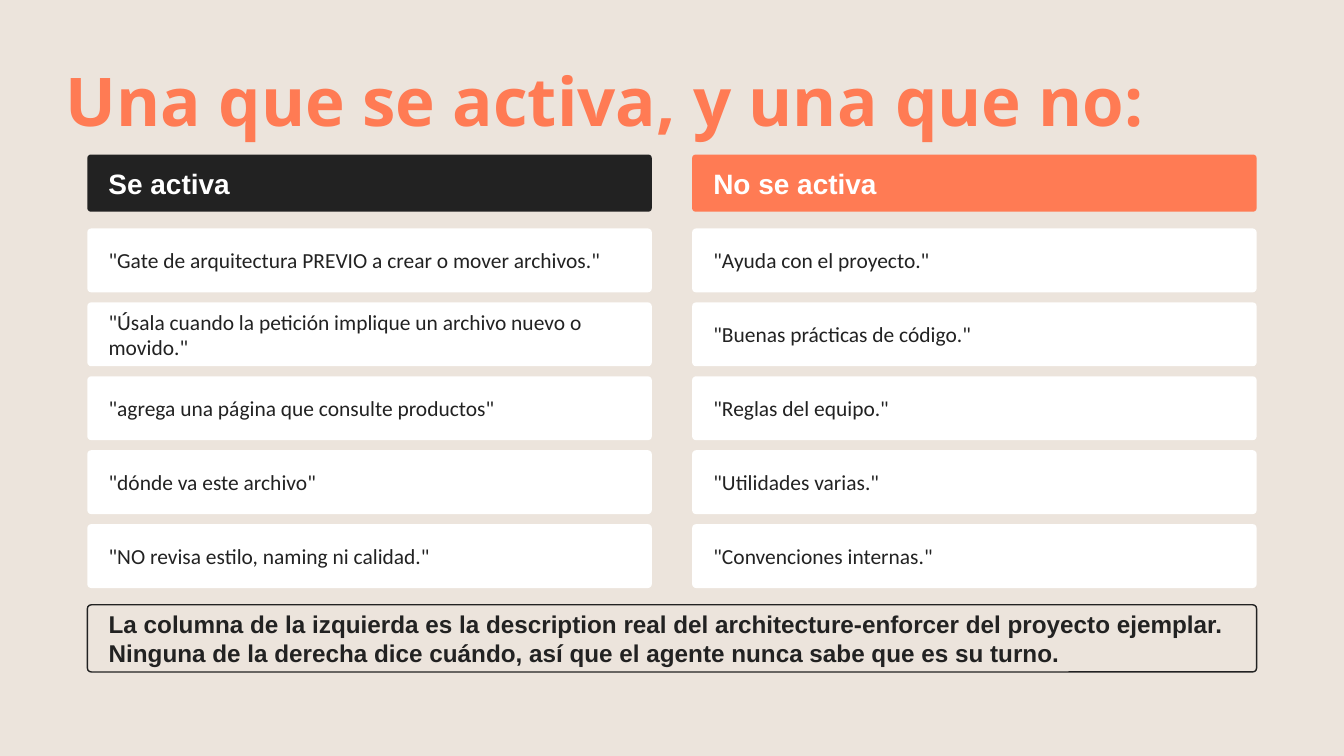
from pptx import Presentation
from pptx import util as u
from pptx.dml.color import RGBColor
from pptx.enum import shapes, text

SAND = RGBColor(0xEC, 0xE4, 0xDC)
CORAL = RGBColor(0xFF, 0x7B, 0x54)
INK = RGBColor(0x22, 0x22, 0x22)
WHITE = RGBColor(0xFF, 0xFF, 0xFF)

TITLE_FONT = {"name": "Open Sans", "size": u.Pt(72), "bold": True}
HEADER_FONT = {"name": "Arial", "size": u.Pt(30), "bold": True}
PHRASE_FONT = {"name": "Calibri", "size": u.Pt(23), "bold": False}
NOTE_FONT = {"name": "Arial", "size": u.Pt(26), "bold": True}

CARD_FRAME = {
    "margin_left": u.Inches(0.3),
    "margin_right": u.Inches(0.3),
    "margin_top": u.Inches(0.1),
    "margin_bottom": u.Inches(0.1),
    "vertical_anchor": text.MSO_ANCHOR.MIDDLE,
    "word_wrap": True,
}
TITLE_FRAME = {
    "margin_left": 0,
    "margin_right": 0,
    "margin_top": 0,
    "margin_bottom": 0,
    "word_wrap": True,
    "auto_size": text.MSO_AUTO_SIZE.SHAPE_TO_FIT_TEXT,
}

LEFT, COLUMN_WIDTH, COLUMN_STEP = 1.3, 8.4, 9
HEADER_TOP, HEADER_HEIGHT = 2.3, 0.85
PHRASE_TOP, PHRASE_HEIGHT, PHRASE_STEP = 3.4, 0.95, 1.1

COLUMNS = [
    ("Se activa", INK, [
        '"Gate de arquitectura PREVIO a crear o mover archivos."',
        '"Úsala cuando la petición implique un archivo nuevo o movido."',
        '"agrega una página que consulte productos"',
        '"dónde va este archivo"',
        '"NO revisa estilo, naming ni calidad."',
    ]),
    ("No se activa", CORAL, [
        '"Ayuda con el proyecto."',
        '"Buenas prácticas de código."',
        '"Reglas del equipo."',
        '"Utilidades varias."',
        '"Convenciones internas."',
    ]),
]
NOTE = (
    "La columna de la izquierda es la description real del "
    "architecture-enforcer del proyecto ejemplar. Ninguna de la derecha "
    "dice cuándo, así que el agente nunca sabe que es su turno."
)


def apply(target, values):
    for name, value in values.items():
        setattr(target, name, value)


def write(frame, wording, frame_format, font_format, color):
    apply(frame, frame_format)
    paragraph = frame.paragraphs[0]
    paragraph.alignment = text.PP_ALIGN.LEFT
    run = paragraph.add_run()
    run.text = wording
    apply(run.font, font_format)
    run.font.color.rgb = color
    return paragraph


def add_title(slide, wording):
    title = slide.shapes.add_textbox(*map(u.Inches, (0.98, 0.69, 18, 1.34)))
    line = write(title.text_frame, wording, TITLE_FRAME, TITLE_FONT, CORAL)
    line.line_spacing = u.Pt(100.8)


def add_card(slide, place, wording, font_format, color, fill=None, outline=None):
    card = slide.shapes.add_shape(
        shapes.MSO_SHAPE.ROUNDED_RECTANGLE, *map(u.Inches, place))
    card.adjustments[0] = 0.06
    card.shadow.inherit = False
    if fill is None:
        card.fill.background()
    else:
        card.fill.solid()
        card.fill.fore_color.rgb = fill
    if outline is None:
        card.line.fill.background()
    else:
        card.line.color.rgb = outline
        card.line.width = u.Pt(1.5)
    write(card.text_frame, wording, CARD_FRAME, font_format, color)


def add_column(slide, left, heading, heading_fill, phrases):
    add_card(slide, (left, HEADER_TOP, COLUMN_WIDTH, HEADER_HEIGHT),
             heading, HEADER_FONT, WHITE, fill=heading_fill)
    for row, phrase in enumerate(phrases):
        top = PHRASE_TOP + row * PHRASE_STEP
        add_card(slide, (left, top, COLUMN_WIDTH, PHRASE_HEIGHT),
                 phrase, PHRASE_FONT, INK, fill=WHITE)


def main():
    deck = Presentation()
    deck.slide_width, deck.slide_height = u.Inches(20), u.Inches(11.25)
    slide = deck.slides.add_slide(deck.slide_layouts[6])
    slide.background.fill.solid()
    slide.background.fill.fore_color.rgb = SAND

    add_title(slide, "Una que se activa, y una que no:")
    for index, column in enumerate(COLUMNS):
        add_column(slide, LEFT + index * COLUMN_STEP, *column)
    add_card(slide, (LEFT, 9, COLUMN_STEP + COLUMN_WIDTH, 1),
             NOTE, NOTE_FONT, INK, outline=INK)

    deck.save("out.pptx")


if __name__ == "__main__":
    main()
